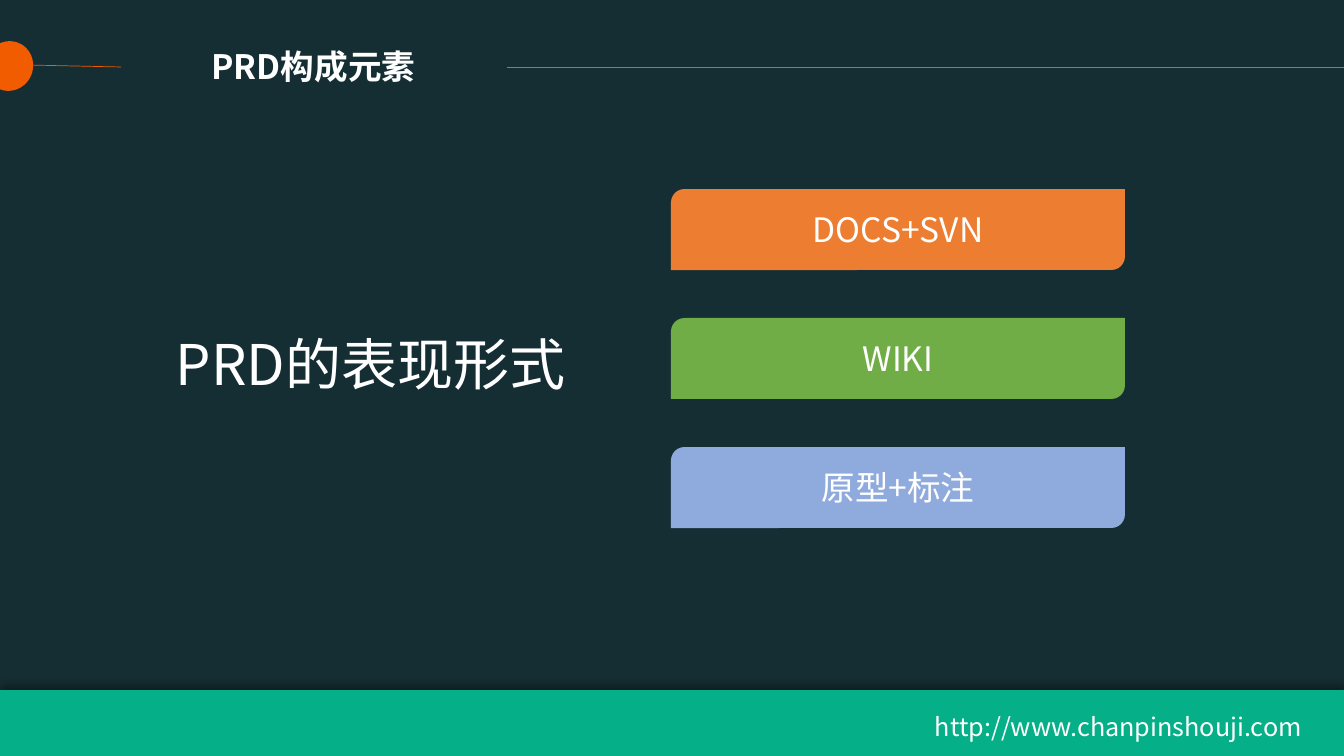
from lxml import etree
from pptx import Presentation
from pptx import util as u
from pptx.dml.color import RGBColor
from pptx.enum import shapes, text
from pptx.oxml import ns

SCALE = 914400 / 100.8  # EMU in one px
COLOURS = {
    "night": "152E33", "teal": "05AF88", "flame": "F25C00", "white": "FFFFFF",
    "orange": "ED7D31", "green": "70AD47", "blue": "8FAADC",
}
TITLE_ONLY = 5


def px(length):
    return u.Emu(round(length * SCALE))


def colour(name):
    return RGBColor.from_string(COLOURS[name])


def write(frame, words, size=24, bold=False, align=text.PP_ALIGN.LEFT,
          anchor=text.MSO_ANCHOR.TOP, fit=text.MSO_AUTO_SIZE.NONE,
          font="Noto Sans CJK SC", ink="white"):
    frame.word_wrap = True
    frame.auto_size = fit
    frame.vertical_anchor = anchor
    frame.margin_left = frame.margin_right = u.Inches(0.1)
    frame.margin_top = frame.margin_bottom = u.Inches(0.05)
    para = frame.paragraphs[0]
    para.alignment = align
    span = para.add_run()
    span.text = words
    span.font.size = u.Pt(size)
    span.font.bold = bold
    span.font.color.rgb = colour(ink)
    span.font.name = font
    east_asian = etree.SubElement(span.font._element, ns.qn("a:ea"))
    east_asian.set("typeface", font)


class Slide:
    def __init__(self, deck, background):
        self.page = deck.slides.add_slide(deck.slide_layouts[TITLE_ONLY])
        fill = self.page.background.fill
        fill.solid()
        fill.fore_color.rgb = colour(background)

    def title(self, words, left, top, width, height, **style):
        box = self.page.shapes.title
        box.left, box.top, box.width, box.height = map(px, (left, top, width, height))
        write(box.text_frame, words, fit=text.MSO_AUTO_SIZE.SHAPE_TO_FIT_TEXT, **style)

    def label(self, words, left, top, width, height, **style):
        box = self.page.shapes.add_textbox(*map(px, (left, top, width, height)))
        write(box.text_frame, words, fit=text.MSO_AUTO_SIZE.SHAPE_TO_FIT_TEXT, **style)

    def shape(self, kind, fill, left, top, width, height):
        box = self.page.shapes.add_shape(kind, *map(px, (left, top, width, height)))
        box.shadow.inherit = False
        box.fill.solid()
        box.fill.fore_color.rgb = colour(fill)
        box.line.fill.background()
        return box

    def card(self, words, fill, left, top, width, height):
        box = self.shape(shapes.MSO_SHAPE.ROUND_2_DIAG_RECTANGLE, fill,
                         left, top, width, height)
        write(box.text_frame, words, align=text.PP_ALIGN.CENTER,
              anchor=text.MSO_ANCHOR.MIDDLE)

    def rule(self, ink, *ends):
        line = self.page.shapes.add_connector(shapes.MSO_CONNECTOR.STRAIGHT, *map(px, ends))
        line.line.color.rgb = colour(ink)
        line.line.width = u.Pt(0.5)
        etree.SubElement(line._element.spPr, ns.qn("a:effectLst"))

    def cast_shadow_up(self, box, blur, distance, opacity):
        effects = box._element.spPr.find(ns.qn("a:effectLst"))
        shadow = etree.SubElement(
            effects, ns.qn("a:outerShdw"), blurRad=str(u.Pt(blur)),
            dist=str(u.Pt(distance)), dir=str(270 * 60000), rotWithShape="0")
        ink = etree.SubElement(shadow, ns.qn("a:srgbClr"), val="000000")
        etree.SubElement(ink, ns.qn("a:alpha"), val=str(opacity * 1000))


def main():
    deck = Presentation()
    deck.slide_width, deck.slide_height = px(1344), px(756)
    slide = Slide(deck, "night")

    # Footer band
    footer = slide.shape(shapes.MSO_SHAPE.ROUNDED_RECTANGLE, "teal", 0, 690, 1344, 69)
    footer.adjustments[0] = 0
    slide.cast_shadow_up(footer, blur=6, distance=3, opacity=40)
    slide.label("http://www.chanpinshouji.com", 925, 706, 453, 40, size=18)

    # Header: disc, rules and title
    disc = slide.shape(shapes.MSO_SHAPE.CHORD, "flame", -15, 41, 48, 50)
    disc.rotation = 202.1
    slide.rule("flame", 1344, 67, 507, 67)
    slide.rule("flame", 121, 67, 26, 65)
    slide.title("PRD构成元素", 123, 41, 381, 51, bold=True, align=text.PP_ALIGN.CENTER)

    # Topic and its three forms
    slide.label("PRD的表现形式", 166, 325, 433, 78, size=40)
    forms = [("DOCS+SVN", "orange"), ("WIKI", "green"), ("原型+标注", "blue")]
    for row, (words, fill) in enumerate(forms):
        slide.card(words, fill, 671, 189 + 129 * row, 454, 81)

    deck.save("out.pptx")


if __name__ == "__main__":
    main()
